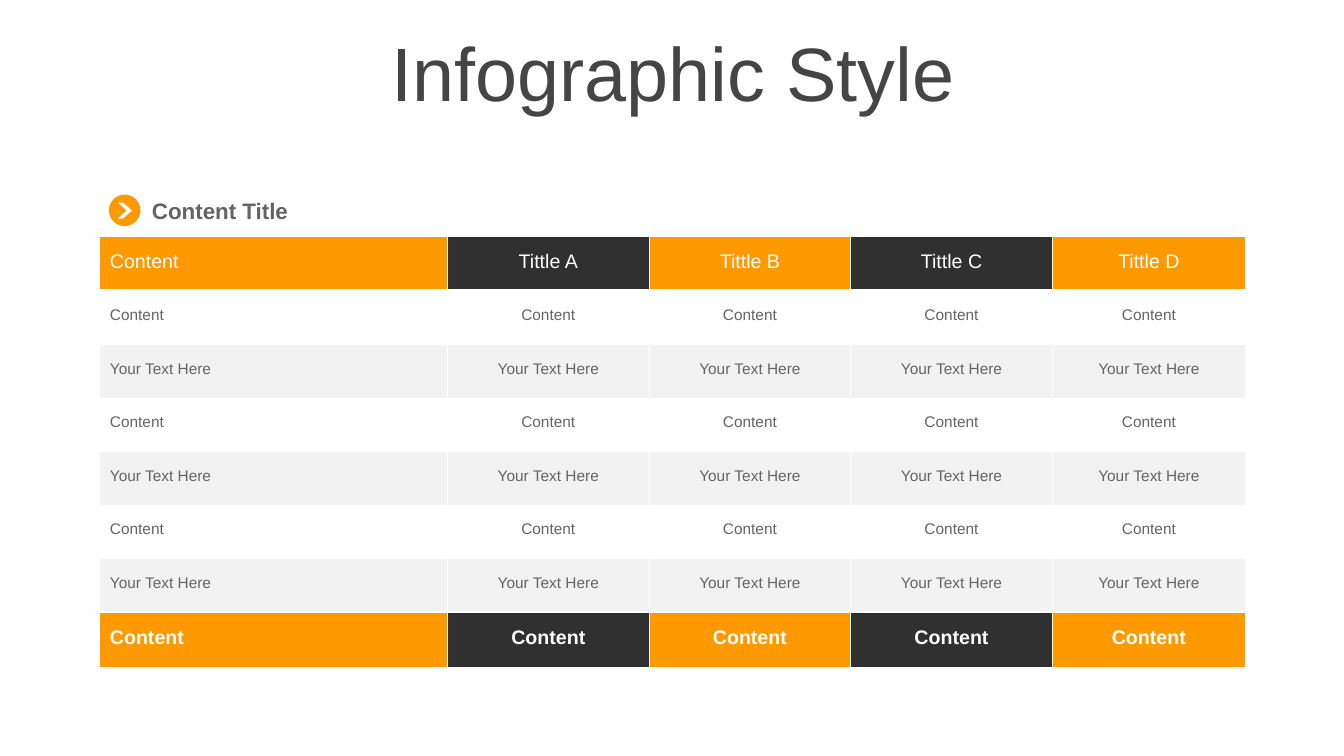
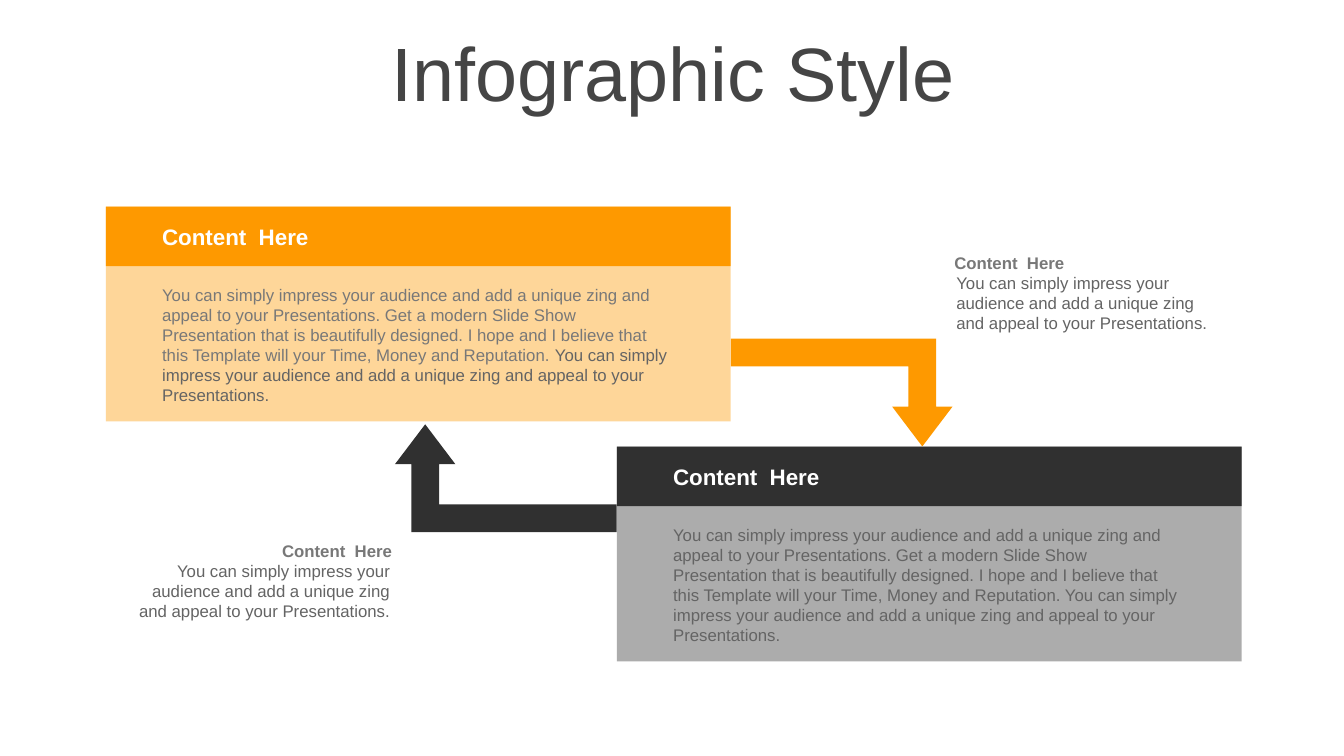
from lxml import etree
from pptx import Presentation
from pptx.dml.color import RGBColor
from pptx.enum.shapes import MSO_SHAPE as Preset
from pptx.enum.text import MSO_ANCHOR as Anchor, PP_ALIGN as Align
from pptx.oxml.ns import qn
from pptx.util import Pt

# Shared style
COLORS = {
    "orange": "FE9900",
    "dark": "303030",
    "white": "FFFFFF",
    "stripe": "F2F2F2",
    "title": "454545",
    "text": "646464",
    "soft": "787878",
}
FONT = "Arial"
TITLE = "Infographic Style"

# Table content
TABLE_HEADING = "Content Title"
HEADER = ["Content", "Tittle A", "Tittle B", "Tittle C", "Tittle D"]
BODY_LABELS = ["Content", "Your Text Here"] * 3
TOTAL_LABEL = "Content"
TABLE_LEFT, TABLE_TOP = 71.3, 169.2
COLUMN_WIDTHS = [248.4, 144, 144, 144, 138]
HEADER_HEIGHT, BODY_HEIGHT, TOTAL_HEIGHT = 38.9, 38.2, 39.6

# Card content
HEADING = "Content  Here"
IMPRESS = ("You can simply impress your audience and add a unique zing "
           "and appeal to your Presentations.")
PITCH = (IMPRESS + " Get a modern Slide Show Presentation that is beautifully "
         "designed. I hope and I believe that this Template will your Time, "
         "Money and Reputation. ")
CARDS = [
    {"left": 75.6, "top": 147.6, "color": "orange", "pitch": "soft"},
    {"left": 440.6, "top": 319, "color": "dark", "pitch": "text"},
]
CARD_WIDTH, CARD_HEIGHT, BAND_HEIGHT = 446.4, 153.4, 42.5
ARROWS = [
    {"left": 282.2, "top": 303.1, "color": "dark", "rotation": 0},
    {"left": 522, "top": 241.9, "color": "orange", "rotation": 180},
]
ARROW_ADJUSTMENTS = [0.258, 0.28, 0.37]
CALLOUTS = [
    {"left": 674.6, "top": 177.1, "align": Align.LEFT},
    {"left": 77, "top": 383, "align": Align.RIGHT},
]


def rgb(name):
    return RGBColor.from_string(COLORS[name])


def write(frame, runs, size, bold=False, align=Align.LEFT):
    """Fill the first paragraph with (text, colour) runs."""
    paragraph = frame.paragraphs[0]
    paragraph.alignment = align
    for text, color in runs:
        run = paragraph.add_run()
        run.text = text
        run.font.name = FONT
        run.font.size = Pt(size)
        run.font.bold = bold
        run.font.color.rgb = rgb(color)
    return paragraph


def add_text(shapes, box, runs, size, bold=False, align=Align.LEFT, anchor=Anchor.TOP):
    frame = shapes.add_textbox(*map(Pt, box)).text_frame
    frame.word_wrap = True
    frame.vertical_anchor = anchor
    return write(frame, runs, size, bold, align)


def add_block(shapes, preset, box, color, adjustments=(), alpha=None):
    shape = shapes.add_shape(preset, *map(Pt, box))
    shape.shadow.inherit = False
    shape.fill.solid()
    shape.fill.fore_color.rgb = rgb(color)
    shape.line.fill.background()
    for index, value in enumerate(adjustments):
        shape.adjustments[index] = value
    if alpha is not None:
        fill_color = shape.element.spPr.find(qn("a:solidFill"))[0]
        etree.SubElement(fill_color, qn("a:alpha")).set("val", str(alpha * 1000))
    return shape


def add_slide(presentation):
    slide = presentation.slides.add_slide(presentation.slide_layouts[6])
    title = add_text(slide.shapes, (25.2, 26.6, 911.5, 56.9), [(TITLE, "title")],
                     54, align=Align.CENTER, anchor=Anchor.MIDDLE)
    title.line_spacing = 0.9
    return slide


def set_borders(cell, bottom_width):
    properties = cell._tc.get_or_add_tcPr()
    widths = {"lnL": 1, "lnR": 1, "lnT": 1, "lnB": bottom_width}
    for index, (side, width) in enumerate(widths.items()):
        line = etree.Element(qn("a:" + side), w=str(Pt(width)))
        fill = etree.SubElement(line, qn("a:solidFill"))
        etree.SubElement(fill, qn("a:srgbClr"), val=COLORS["white"])
        properties.insert(index, line)


def add_content_table(slide):
    count = len(HEADER)
    accents = [("orange", "dark")[column % 2] for column in range(count)]
    # Each row: labels, fills, height, size, bold, text colour, bottom border
    rows = [(HEADER, accents, HEADER_HEIGHT, 14, False, "white", 3)]
    for index, label in enumerate(BODY_LABELS):
        fill = ("white", "stripe")[index % 2]
        rows.append(([label] * count, [fill] * count, BODY_HEIGHT, 11, False, "text", 1))
    rows.append(([TOTAL_LABEL] * count, accents, TOTAL_HEIGHT, 14, True, "white", 1))

    height = sum(row[2] for row in rows)
    table = slide.shapes.add_table(
        len(rows), count, Pt(TABLE_LEFT), Pt(TABLE_TOP),
        Pt(sum(COLUMN_WIDTHS)), Pt(height)).table
    table.first_row = table.horz_banding = False
    for column, width in zip(table.columns, COLUMN_WIDTHS):
        column.width = Pt(width)
    for row_index, (labels, fills, height, size, bold, color, border) in enumerate(rows):
        table.rows[row_index].height = Pt(height)
        for column, (label, fill) in enumerate(zip(labels, fills)):
            cell = table.cell(row_index, column)
            cell.fill.solid()
            cell.fill.fore_color.rgb = rgb(fill)
            cell.vertical_anchor = Anchor.MIDDLE
            cell.margin_left = cell.margin_right = Pt(7.2)
            cell.margin_top, cell.margin_bottom = Pt(0), Pt(3.6)
            set_borders(cell, border)
            write(cell.text_frame, [(label, color)], size, bold,
                  Align.CENTER if column else Align.LEFT)


def build_table_slide(presentation):
    slide = add_slide(presentation)
    add_content_table(slide)
    add_text(slide.shapes, (101.5, 137, 200, 26.6), [(TABLE_HEADING, "text")],
             16, bold=True, anchor=Anchor.MIDDLE)
    icon = slide.shapes.add_group_shape().shapes
    add_block(icon, Preset.OVAL, (77.8, 139, 22.5, 22.5), "orange")
    add_block(icon, Preset.CHEVRON, (84.2, 144.7, 10, 11.4), "white", [0.624])


def add_card(shapes, card):
    left, top, color = card["left"], card["top"], card["color"]
    add_block(shapes, Preset.RECTANGLE, (left, top, CARD_WIDTH, CARD_HEIGHT), color, alpha=40)
    add_block(shapes, Preset.RECTANGLE, (left, top, CARD_WIDTH, BAND_HEIGHT), color)
    add_text(shapes, (left + 33.1, top + 8.2, 380.9, 26.6), [(HEADING, "white")], 16, bold=True)
    add_text(shapes, (left + 33.1, top + 52, 380.9, 94.3),
             [(PITCH, card["pitch"]), (IMPRESS, "text")], 12)


def add_arrow(shapes, arrow):
    shape = add_block(shapes, Preset.BENT_UP_ARROW, (arrow["left"], arrow["top"], 158.4, 77),
                      arrow["color"], ARROW_ADJUSTMENTS)
    shape.rotation = arrow["rotation"]
    shape.element.spPr.find(qn("a:xfrm")).set("flipH", "1")


def add_callout(shapes, callout):
    left, top, align = callout["left"], callout["top"], callout["align"]
    group = shapes.add_group_shape().shapes
    add_text(group, (left + 1.4, top + 14, 207.4, 51.1), [(IMPRESS, "text")], 12, align=align)
    add_text(group, (left, top, 210.2, 21.6), [(HEADING, "soft")], 12, bold=True, align=align)


def build_cards_slide(presentation):
    shapes = add_slide(presentation).shapes
    for card in CARDS:
        add_card(shapes, card)
    for arrow in ARROWS:
        add_arrow(shapes, arrow)
    for callout in CALLOUTS:
        add_callout(shapes, callout)


def main():
    presentation = Presentation()
    presentation.slide_width, presentation.slide_height = Pt(960), Pt(540)
    build_table_slide(presentation)
    build_cards_slide(presentation)
    presentation.save("out.pptx")


if __name__ == "__main__":
    main()
